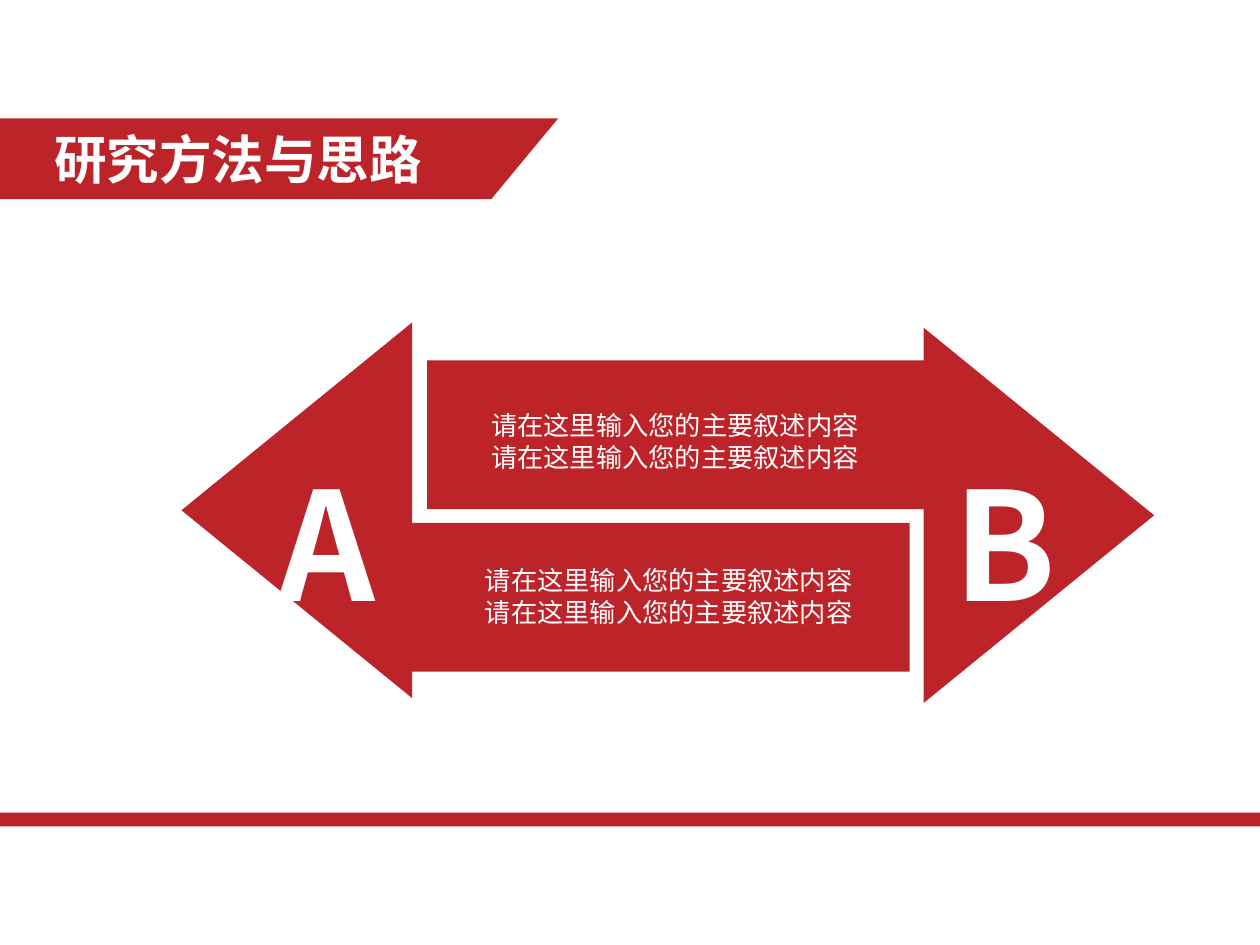
from pptx import Presentation
from pptx.dml.color import RGBColor
from pptx.enum.shapes import MSO_SHAPE
from pptx.enum.text import MSO_ANCHOR, MSO_AUTO_SIZE, PP_ALIGN
from pptx.oxml.ns import qn
from pptx.util import Inches, Pt

RED, WHITE = "BC242A", "FFFFFF"
SANS, HEAD = "Noto Sans CJK SC", "Noto Sans CJK JP"
WIDE, HIGH = 10, 7.5
TITLE = "研究方法与思路"
NOTE = ["请在这里输入您的主要叙述内容"] * 2
BANNER = [(0, 0.94), (4.43, 0.94), (3.9, 1.58), (0, 1.58)]
# tip x, neck x, tail x, head top, bar top, letter x, note x, note y
ARROWS = [
    ("A", 1.44, 3.27, 7.22, 2.56, 4.15, 2.11, 3.75, 4.43),
    ("B", 9.16, 7.33, 3.39, 2.6, 2.86, 7.47, 3.8, 3.2),
]
HEAD_H, BAR_H = 2.98, 1.18


def color(code):
    return RGBColor.from_string(code)


def paint(shape):
    shape.shadow.inherit = False
    shape.fill.solid()
    shape.fill.fore_color.rgb = color(RED)
    shape.line.fill.background()


def outline(slide, points):
    start, *rest = [(Inches(x), Inches(y)) for x, y in points]
    pen = slide.shapes.build_freeform(*start)
    pen.add_line_segments(rest, close=True)
    paint(pen.convert_to_shape())


def write(shape, lines, size, font, bold=False, align=PP_ALIGN.LEFT, pitch=None):
    frame = shape.text_frame
    frame.word_wrap = False
    frame.auto_size = MSO_AUTO_SIZE.NONE
    for i, line in enumerate(lines):
        para = frame.add_paragraph() if i else frame.paragraphs[0]
        para.alignment = align
        if pitch:
            para.line_spacing = Pt(pitch)
        run = para.add_run()
        run.text = line
        run.font.size, run.font.bold, run.font.name = Pt(size), bold, font
        run.font.color.rgb = color(WHITE)
        east = run.font._element.makeelement(qn("a:ea"), {"typeface": font})
        run.font._element.find(qn("a:latin")).addnext(east)


def box(slide, x, y, w, h):
    return slide.shapes.add_textbox(*map(Inches, (x, y, w, h)))


def main():
    """Build the slide with two opposed arrows."""
    deck = Presentation()
    deck.slide_width, deck.slide_height = Inches(WIDE), Inches(HIGH)
    slide = deck.slides.add_slide(deck.slide_layouts[5])

    outline(slide, BANNER)
    rule = slide.shapes.add_shape(
        MSO_SHAPE.RECTANGLE, 0, Inches(0.86 * HIGH), Inches(WIDE), Inches(0.11))
    paint(rule)

    title = slide.shapes.title
    slide.shapes.element.append(title.element)
    title.left, title.top, title.width, title.height = map(
        Inches, (0.33, 0.96, 3.12, 0.6))
    title.text_frame.vertical_anchor = MSO_ANCHOR.MIDDLE
    write(title, [TITLE], 30, HEAD, True, PP_ALIGN.CENTER)

    for name, tip, neck, tail, top, bar, left, x, y in ARROWS:
        outline(slide, [
            (tip, top + HEAD_H / 2), (neck, top), (neck, bar), (tail, bar),
            (tail, bar + BAR_H), (neck, bar + BAR_H), (neck, top + HEAD_H)])
        write(box(slide, left, 3.53, 0.97, 1.55), [name], 86.2, SANS, True)
        write(box(slide, x, y, 3.12, 0.86), NOTE, 15, SANS, pitch=18)

    deck.save("out.pptx")


if __name__ == "__main__":
    main()
